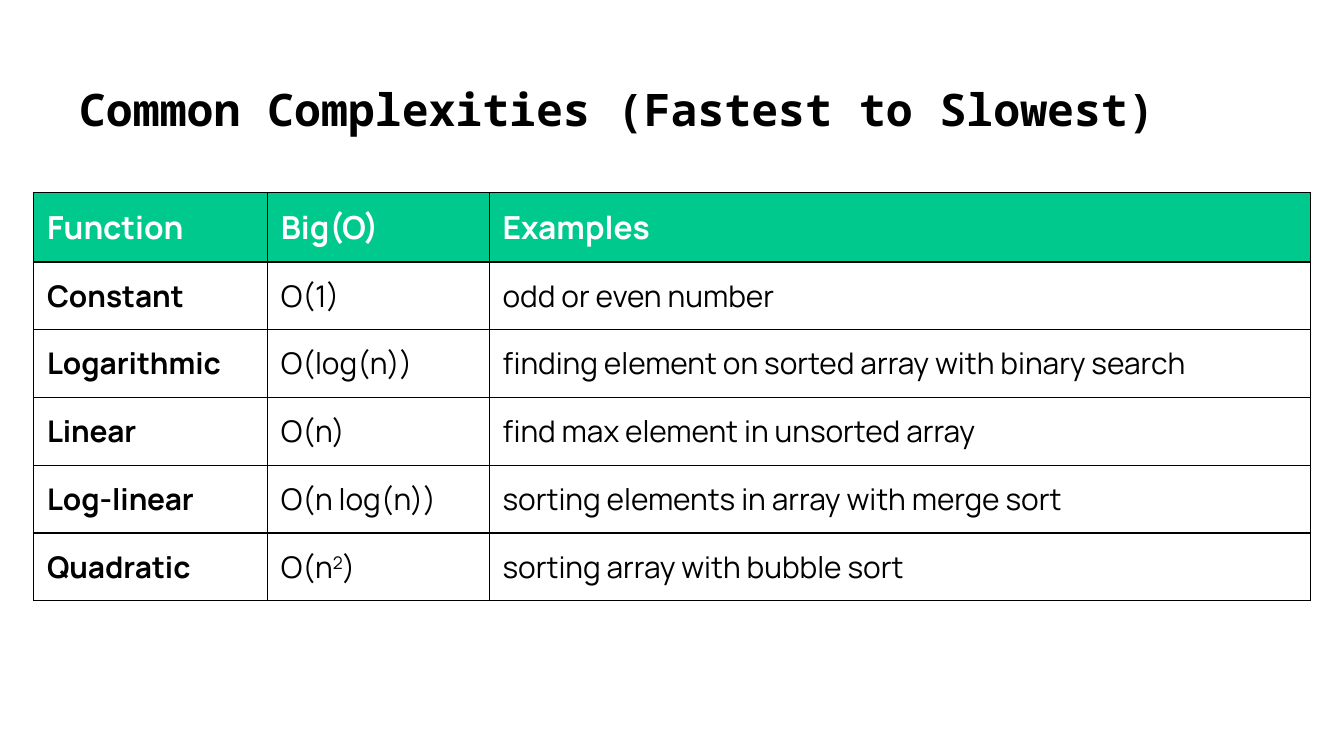
from lxml.etree import SubElement
from pptx import Presentation
from pptx.dml.color import RGBColor
from pptx.enum.text import MSO_ANCHOR
from pptx.oxml.ns import qn
from pptx.util import Inches, Pt

BLACK, WHITE, GREEN = "000000", "FFFFFF", "00C98E"
MARGIN = Inches(0.1)


def add_span(para, text, font_name, size, color, bold):
    span = para.add_run()
    span.text = text
    span.font.name = font_name
    span.font.size = Pt(size)
    span.font.bold = bold
    span.font.color.rgb = RGBColor.from_string(color)
    return span


def add_borders(cell, color, width):
    """Draw all four cell edges; call before setting the fill, which must follow them."""
    properties = cell._tc.get_or_add_tcPr()
    for edge in ("a:lnL", "a:lnR", "a:lnT", "a:lnB"):
        line = SubElement(properties, qn(edge), w=str(Pt(width)))
        fill = SubElement(line, qn("a:solidFill"))
        SubElement(fill, qn("a:srgbClr"), val=color)


# A 16:9 page
deck = Presentation()
deck.slide_width = Inches(10)
deck.slide_height = Inches(10 * 9 / 16)
page = deck.slides.add_slide(deck.slide_layouts[6])

# Title
title = page.shapes.add_textbox(Inches(0.49), Inches(0.53), Inches(9.01), Inches(0.63))
frame = title.text_frame
frame.word_wrap = True
frame.vertical_anchor = MSO_ANCHOR.TOP
frame.margin_left = frame.margin_right = frame.margin_bottom = MARGIN
frame.margin_top = Inches(0.08)
add_span(frame.paragraphs[0], "Common Complexities (Fastest to Slowest)",
         "Noto Sans Mono", 24, BLACK, True)

# Complexity table; a caret marks the start and end of a superscript
rows = [
    ("Function", "Big(O)", "Examples"),
    ("Constant", "O(1)", "odd or even number"),
    ("Logarithmic", "O(log(n))", "finding element on sorted array with binary search"),
    ("Linear", "O(n)", "find max element in unsorted array"),
    ("Log-linear", "O(n log(n))", "sorting elements in array with merge sort"),
    ("Quadratic", "O(n^2^)", "sorting array with bubble sort"),
]
column_widths = [1.74, 1.65, 6.11]
table_height, header_height = 3.04, 0.52
row_height = (table_height - header_height) / (len(rows) - 1)

table = page.shapes.add_table(
    len(rows), len(column_widths), Inches(0.25), Inches(1.43),
    Inches(sum(column_widths)), Inches(table_height),
).table
for column, width in zip(table.columns, column_widths):
    column.width = Inches(width)

for row_index, texts in enumerate(rows):
    is_header = row_index == 0
    table.rows[row_index].height = Inches(header_height if is_header else row_height)
    for column_index, text in enumerate(texts):
        cell = table.cell(row_index, column_index)
        cell.margin_left = cell.margin_right = cell.margin_top = cell.margin_bottom = MARGIN
        add_borders(cell, BLACK, 0.75)
        cell.fill.solid()
        cell.fill.fore_color.rgb = RGBColor.from_string(GREEN if is_header else WHITE)
        para = cell.text_frame.paragraphs[0]
        for part_index, part in enumerate(text.split("^")):
            span = add_span(para, part, "Manrope", 17 if is_header else 16,
                            WHITE if is_header else BLACK,
                            is_header or column_index == 0)
            if part_index % 2:
                span._r.get_or_add_rPr().set("baseline", "30000")

deck.save("out.pptx")
